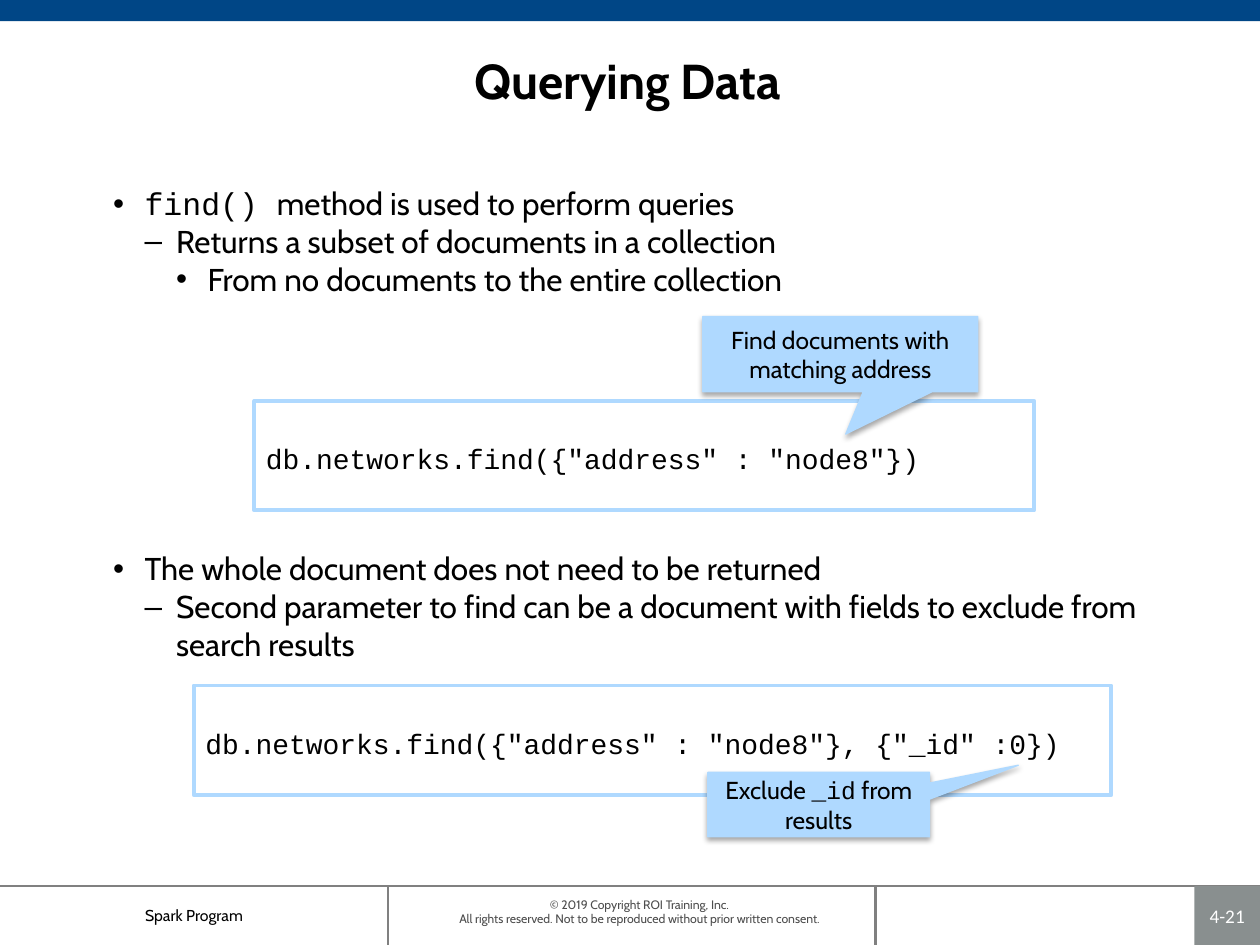
from dataclasses import dataclass

from lxml import etree
from pptx import Presentation
from pptx import util as u
from pptx.dml.color import RGBColor
from pptx.enum import shapes, text
from pptx.oxml import parse_xml
from pptx.oxml.ns import nsdecls, qn


@dataclass(frozen=True)
class Theme:
    sans: str = "Cabin"
    mono: str = "Courier New"
    number_font: str = "Calibri"
    ink: str = "000000"
    white: str = "FFFFFF"
    bar: str = "004686"
    rule: str = "808080"
    badge: str = "898F8F"
    legal: str = "4D4D4D"
    accent: str = "AFD9FF"
    title_size: float = 28
    body_size: float = 18
    code_size: float = 16
    callout_size: float = 14
    number_size: float = 11
    footer_size: float = 9
    legal_size: float = 7


THEME = Theme()
MONO, SANS = THEME.mono, THEME.sans

# Boxes are (left, top, width, height) in centimetres.
PAGE_WIDTH, PAGE_HEIGHT = 25.4, 19.05
FOOTER_TOP = 17.86
FOOTER_HEIGHT = PAGE_HEIGHT - FOOTER_TOP
FOOTER_DIVIDERS = [7.82, 17.65]
INDENT = 0.635

TITLE = ("Querying Data", (2.92, 0.74, 19.46, 1.75))
PROGRAM = "Spark Program"
PAGE_NUMBER = "4-21"
COPYRIGHT = ("© 2019 Copyright ROI Training, Inc.\n"
             "All rights reserved. Not to be reproduced without prior written consent.")

# Each bullet is (level, spans); each span is (words, font).
BULLET_GROUPS = [
    ((2.03, 3.51, 21.59, 2.8), [
        (0, [("find() ", MONO), ("method is used to perform queries", SANS)]),
        (1, [("Returns a subset of documents in a collection", SANS)]),
        (2, [("From no documents to the entire collection", SANS)]),
    ]),
    ((2.03, 10.87, 21.59, 2.8), [
        (0, [("The whole document does not need to be returned", SANS)]),
        (1, [("Second parameter to find can be a document with fields to "
              "exclude from search results", SANS)]),
    ]),
]

# Each example is (code, code box, callout spans, callout box, pointer tip).
EXAMPLES = [
    ('db.networks.find({"address" : "node8"})', (5.13, 8.08, 15.72, 2.21),
     [("Find documents with matching address", SANS)],
     (14.17, 6.38, 5.54, 1.52), (0.02, 1.06)),
    ('db.networks.find({"address" : "node8"}, {"_id" :0})', (3.91, 13.82, 18.49, 2.21),
     [("Exclude ", SANS), ("_id", MONO), (" from results", SANS)],
     (14.27, 15.57, 4.47, 1.3), (0.9, -0.61)),
]


def color(value):
    return RGBColor.from_string(value)


def lengths(*values):
    return [u.Cm(value) for value in values]


def set_frame(box, margins=(0.25, 0.13, 0.25, 0.13), middle=False):
    frame = box.text_frame
    frame.word_wrap = True
    frame.auto_size = text.MSO_AUTO_SIZE.NONE
    frame.vertical_anchor = text.MSO_ANCHOR.MIDDLE if middle else text.MSO_ANCHOR.TOP
    (frame.margin_left, frame.margin_top,
     frame.margin_right, frame.margin_bottom) = lengths(*margins)
    return frame


def write(para, words, font=SANS, size=THEME.body_size, ink=THEME.ink,
          bold=False, centered=False):
    para.alignment = text.PP_ALIGN.CENTER if centered else text.PP_ALIGN.LEFT
    for index, line in enumerate(words.split("\n")):
        if index:
            para.add_line_break()
        span = para.add_run()
        span.text = line
        span.font.name = font
        span.font.size = u.Pt(size)
        span.font.bold = bold
        span.font.color.rgb = color(ink)


def add_shape(page, kind, place, fill=None, line=None, width=0.75):
    shape = page.shapes.add_shape(kind, *lengths(*place))
    shape.shadow.inherit = False
    if fill:
        shape.fill.solid()
        shape.fill.fore_color.rgb = color(fill)
    else:
        shape.fill.background()
    if line:
        shape.line.color.rgb = color(line)
        shape.line.width = u.Pt(width)
    else:
        shape.line.fill.background()
    return shape


def add_rule(page, *ends):
    rule = page.shapes.add_connector(shapes.MSO_CONNECTOR.STRAIGHT, *lengths(*ends))
    rule.line.color.rgb = color(THEME.rule)
    rule.line.width = u.Pt(1.5)
    etree.SubElement(rule._element.spPr, qn("a:effectLst"))


def add_bullet(para, level):
    props = para._p.get_or_add_pPr()
    props.set("marL", str(u.Cm(INDENT * (level + 1))))
    props.set("indent", str(-u.Cm(INDENT)))
    etree.SubElement(props, qn("a:buFont")).set("typeface", "Arial")
    etree.SubElement(props, qn("a:buChar")).set("char", "•–•"[level])
    para.level = level
    if level == 0:
        para.line_spacing = 1.1


def add_drop_shadow(shape):
    effects = shape._element.spPr.find(qn("a:effectLst"))
    effects.append(parse_xml(
        f'<a:outerShdw {nsdecls("a")} blurRad="{u.Pt(3.1)}" dist="{u.Pt(1.8)}" '
        f'dir="5400000" rotWithShape="0"><a:srgbClr val="{THEME.ink}">'
        '<a:alpha val="35000"/></a:srgbClr></a:outerShdw>'))


def add_title(page):
    words, place = TITLE
    box = page.shapes.title
    box.left, box.top, box.width, box.height = lengths(*place)
    write(set_frame(box, middle=True).paragraphs[0], words,
          size=THEME.title_size, bold=True, centered=True)


def add_footer(page):
    for x in FOOTER_DIVIDERS:
        add_rule(page, x, FOOTER_TOP, x, PAGE_HEIGHT)
    add_rule(page, 0, FOOTER_TOP, PAGE_WIDTH, FOOTER_TOP)

    legal = page.shapes.add_textbox(*lengths(6.22, 18.08, 13.34, 0.61))
    write(set_frame(legal, (0.25, 0, 0.25, 0)).paragraphs[0], COPYRIGHT,
          size=THEME.legal_size, ink=THEME.legal, centered=True)

    program = page.shapes.add_textbox(
        *lengths(0, FOOTER_TOP, FOOTER_DIVIDERS[0], FOOTER_HEIGHT))
    write(set_frame(program, middle=True).paragraphs[0], PROGRAM,
          size=THEME.footer_size, centered=True)

    badge = add_shape(page, shapes.MSO_SHAPE.RECTANGLE,
                      (24.08, FOOTER_TOP, 1.32, FOOTER_HEIGHT), THEME.badge)
    write(set_frame(badge, (0.1,) * 4, middle=True).paragraphs[0], PAGE_NUMBER,
          font=THEME.number_font, size=THEME.number_size, ink=THEME.white, centered=True)


def add_bullets(page, place, bullets):
    frame = set_frame(page.shapes.add_textbox(*lengths(*place)))
    for index, (level, spans) in enumerate(bullets):
        para = frame.add_paragraph() if index else frame.paragraphs[0]
        add_bullet(para, level)
        for words, font in spans:
            write(para, words, font=font)


def add_example(page, code, code_place, spans, callout_place, tip):
    box = add_shape(page, shapes.MSO_SHAPE.RECTANGLE, code_place,
                    line=THEME.accent, width=2.25)
    write(set_frame(box, (0.23, 0.23, 0.23, 0.13), middle=True).paragraphs[0], code,
          font=MONO, size=THEME.code_size)

    callout = add_shape(page, shapes.MSO_SHAPE.RECTANGULAR_CALLOUT, callout_place,
                        THEME.accent, THEME.accent)
    callout.adjustments[0], callout.adjustments[1] = tip
    add_drop_shadow(callout)
    para = set_frame(callout, middle=True).paragraphs[0]
    for words, font in spans:
        write(para, words, font=font, size=THEME.callout_size, centered=True)


def main():
    deck = Presentation()
    deck.slide_width, deck.slide_height = lengths(PAGE_WIDTH, PAGE_HEIGHT)
    page = deck.slides.add_slide(deck.slide_layouts.get_by_name("Title Only"))
    add_shape(page, shapes.MSO_SHAPE.RECTANGLE, (0, 0, PAGE_WIDTH, 0.43), THEME.bar)
    add_footer(page)
    add_title(page)
    for group in BULLET_GROUPS:
        add_bullets(page, *group)
    for example in EXAMPLES:
        add_example(page, *example)
    deck.save("out.pptx")


if __name__ == "__main__":
    main()
